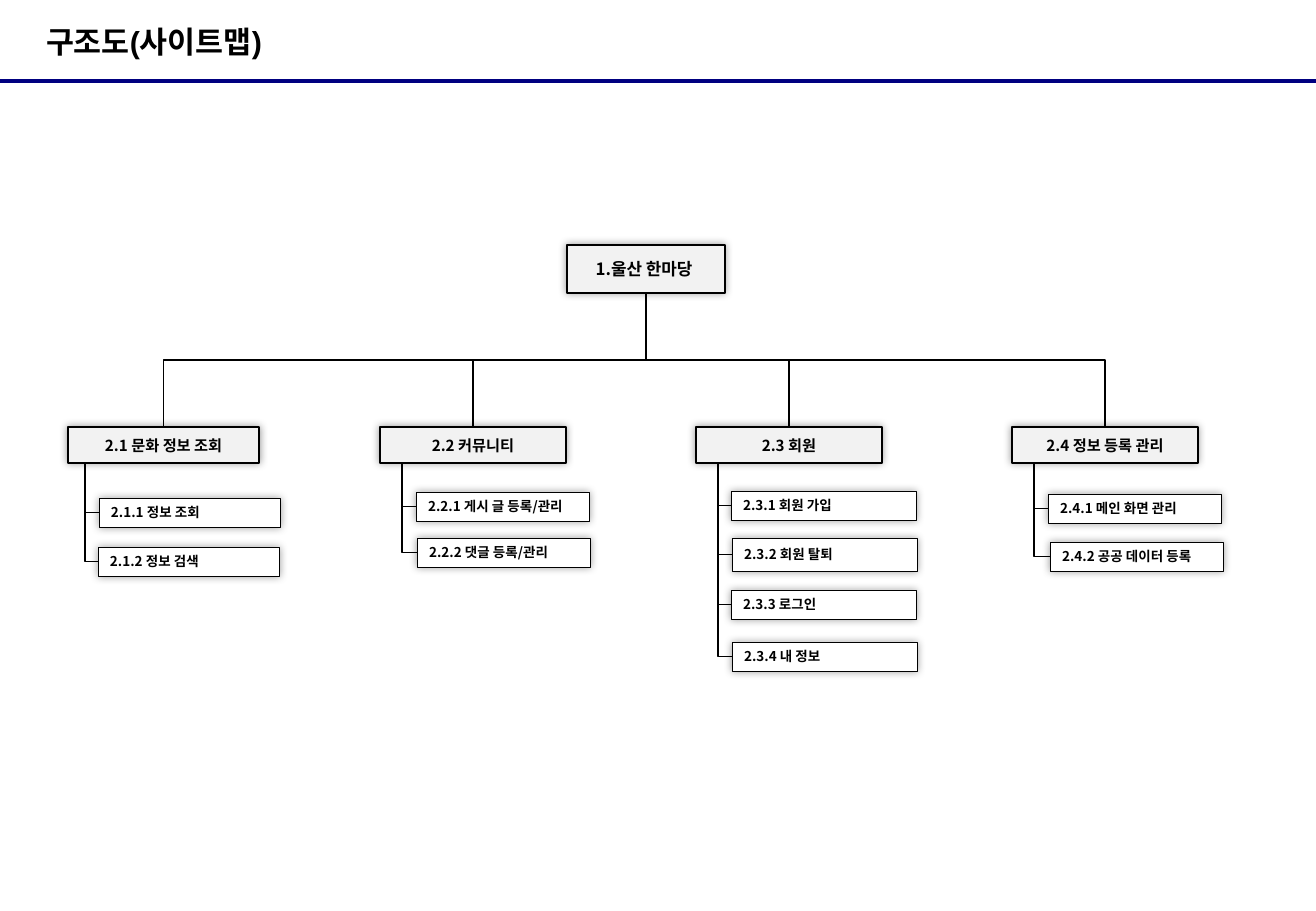
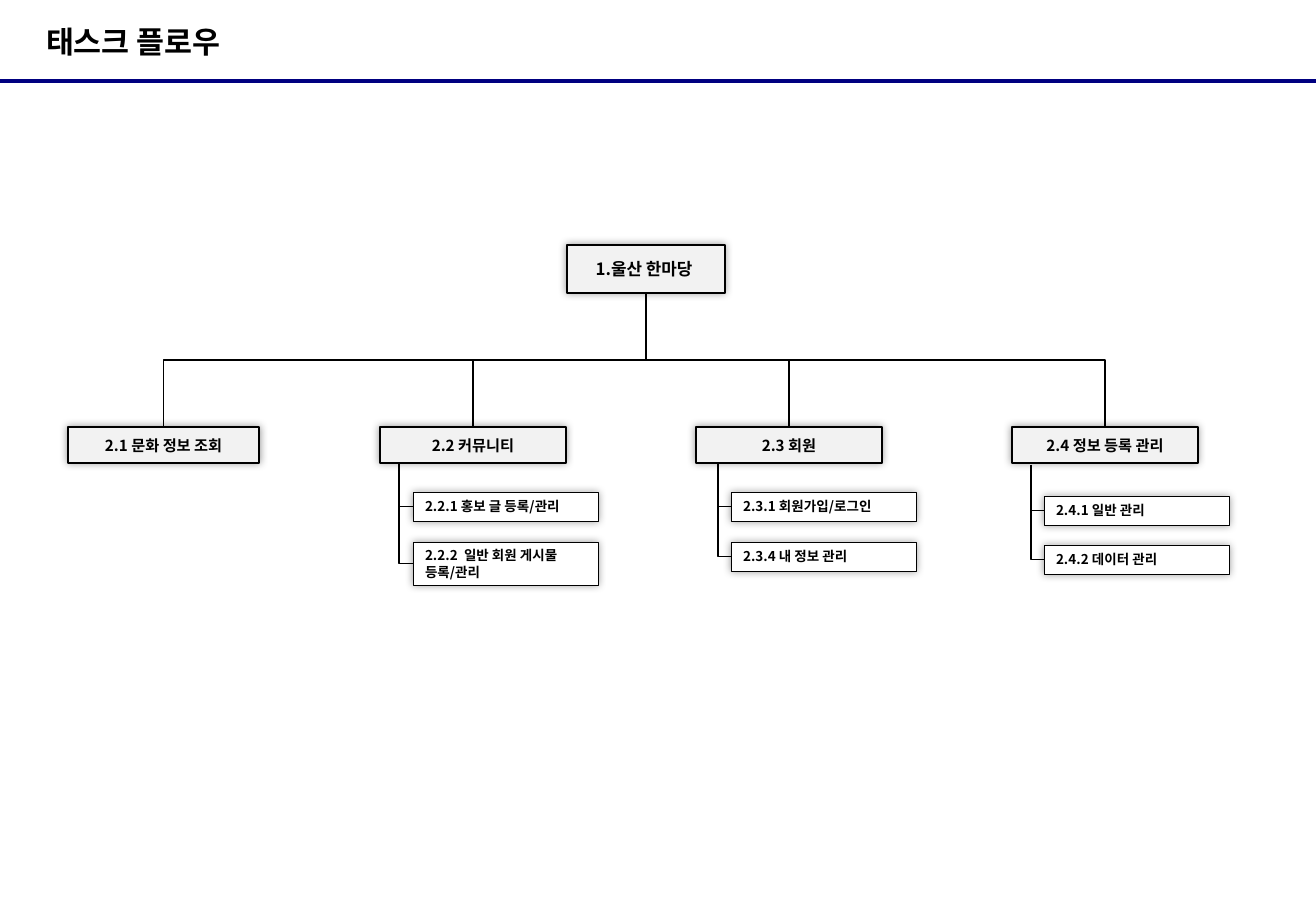
import pptx
import pptx.dml.color
import pptx.enum.shapes
import pptx.enum.text
import pptx.oxml.ns
import pptx.util
from lxml import etree

EMU_PER_PX = 914400 / 121.5
PAGE_WIDTH, PAGE_HEIGHT = 1316, 911
ROOT_BOX = (567, 245, 158, 48)
BRANCH_TOP, BRANCH_HEIGHT = 427, 36
BRANCH_BOTTOM = BRANCH_TOP + BRANCH_HEIGHT
LEAF_HEIGHT = 29

qn = pptx.oxml.ns.qn
CONNECTOR = pptx.enum.shapes.MSO_CONNECTOR
ALIGN = pptx.enum.text.PP_ALIGN

# Label, left and width of each branch
BRANCHES = [
    ("2.1 문화 정보 조회", 68, 191),
    ("2.2 커뮤니티", 380, 186),
    ("2.3 회원", 696, 186),
    ("2.4 정보 등록 관리", 1012, 186),
]

# Per slide: title, then leaf groups as (spine start, leaf width, leaves);
# a leaf is label, left, top and, where it is taller, its height
SLIDES = [
    ("구조도(사이트맵)", [
        ((85, BRANCH_BOTTOM), 181, [
            ("2.1.1 정보 조회", 99, 498),
            ("2.1.2 정보 검색", 98, 547)]),
        ((402, BRANCH_BOTTOM), 173, [
            ("2.2.1 게시 글 등록/관리", 416, 492),
            ("2.2.2 댓글 등록/관리", 417, 538)]),
        ((718, BRANCH_BOTTOM), 185, [
            ("2.3.1 회원 가입", 731, 491),
            ("2.3.2 회원 탈퇴", 732, 538, 33),
            ("2.3.3 로그인", 731, 590),
            ("2.3.4 내 정보", 732, 642)]),
        ((1034, BRANCH_BOTTOM), 173, [
            ("2.4.1 메인 화면 관리", 1048, 494),
            ("2.4.2 공공 데이터 등록", 1050, 542)]),
    ]),
    ("태스크 플로우", [
        ((399, BRANCH_BOTTOM), 185, [
            ("2.2.1 홍보 글 등록/관리", 413, 492),
            ("2.2.2  일반 회원 게시물 등록/관리", 413, 542, 43)]),
        ((718, BRANCH_BOTTOM), 185, [
            ("2.3.1 회원가입/로그인", 731, 492),
            ("2.3.4 내 정보 관리", 731, 542)]),
        ((1031, 465), 185, [
            ("2.4.1 일반 관리", 1044, 496),
            ("2.4.2 데이터 관리", 1044, 545)]),
    ]),
]


def px(length):
    return pptx.util.Emu(round(length * EMU_PER_PX))


def color(hex_string):
    return pptx.dml.color.RGBColor.from_string(hex_string)


def set_all(target, values):
    for name, value in values.items():
        setattr(target, name, value)


class SitemapDeck:
    BLACK, WHITE, GREY, NAVY = "000000", "FFFFFF", "F2F2F2", "000080"
    BODY_FONT, TITLE_FONT = "Noto Sans CJK KR", "Arial"

    def __init__(self):
        self.deck = pptx.Presentation()
        set_all(self.deck, {"slide_width": px(PAGE_WIDTH), "slide_height": px(PAGE_HEIGHT)})
        self.page = None

    def new_page(self, title):
        self.page = self.deck.slides.add_slide(self.deck.slide_layouts[6])
        rule = self.page.shapes.add_connector(
            CONNECTOR.STRAIGHT, 0, px(81), px(PAGE_WIDTH), px(81))
        self.style_line(rule, self.NAVY, 2.25)
        box = self.page.shapes.add_textbox(px(46), 0, px(860), px(83))
        self.fill_text(box, title, 18, self.TITLE_FONT, ALIGN.LEFT, (0, 0, 0, 0))

    def fill_text(self, box, text, size, font, align, insets=(12, 6, 12, 6)):
        frame = box.text_frame
        sides = ("margin_left", "margin_top", "margin_right", "margin_bottom")
        set_all(frame, dict(zip(sides, map(px, insets))))
        set_all(frame, {"word_wrap": True,
                        "vertical_anchor": pptx.enum.text.MSO_ANCHOR.MIDDLE})
        para = frame.paragraphs[0]
        para.alignment = align
        span = para.add_run()
        span.text = text
        set_all(span.font, {"size": pptx.util.Pt(size), "bold": True, "name": font})
        span.font.color.rgb = color(self.BLACK)
        latin = span.font._element.find(qn("a:latin"))
        east_asian = etree.Element(qn("a:ea"), typeface=self.BODY_FONT)
        latin.addnext(east_asian)

    def box(self, text, place, size, fill, border, align, **text_options):
        """Add a bordered rectangle with a soft, centred shadow."""
        box = self.page.shapes.add_shape(
            pptx.enum.shapes.MSO_SHAPE.RECTANGLE, *map(px, place))
        box.fill.solid()
        box.fill.fore_color.rgb = color(fill)
        box.line.color.rgb = color(self.BLACK)
        box.line.width = pptx.util.Pt(border)
        box.shadow.inherit = False
        effects = box.element.spPr.find(qn("a:effectLst"))
        shadow = etree.SubElement(effects, qn("a:outerShdw"), blurRad="63500", dist="0")
        tint = etree.SubElement(shadow, qn("a:srgbClr"), val=self.BLACK)
        etree.SubElement(tint, qn("a:alpha"), val="40000")
        self.fill_text(box, text, size, self.BODY_FONT, align, **text_options)
        return box

    def style_line(self, line, hex_string, width):
        line.line.color.rgb = color(hex_string)
        line.line.width = pptx.util.Pt(width)
        etree.SubElement(line.element.spPr, qn("a:effectLst"))

    def elbow(self, start, end, preset, joined=None):
        """Add an elbow that leaves start downwards; joined is (upper box, lower box)."""
        (x1, y1), (x2, y2) = start, end
        line = self.page.shapes.add_connector(CONNECTOR.ELBOW, *map(px, (x1, y1, x2, y2)))
        if joined:
            line.begin_connect(joined[0], 2)
            line.end_connect(joined[1], 0)
        # The preset runs sideways, so it is laid out unturned around its centre
        across, down = abs(x2 - x1), y2 - y1
        set_all(line, {"left": px((x1 + x2 - down) / 2), "top": px((y1 + y2 - across) / 2),
                       "width": px(down), "height": px(across)})
        rightwards = x2 > x1
        frame = line.element.spPr.find(qn("a:xfrm"))
        frame.set("rot", "16200000" if rightwards else "5400000")
        frame.set("flipH", "1" if rightwards else "0")
        line.element.spPr.find(qn("a:prstGeom")).set("prst", preset)
        self.style_line(line, self.BLACK, 0.75)

    def trunk(self):
        """Add the root, the four branches and the elbows between them."""
        left, top, width, height = ROOT_BOX
        root = self.box("1.울산 한마당", ROOT_BOX, 10, self.GREY, 0.75, ALIGN.CENTER,
                        insets=(8, 6, 12, 6))
        for label, branch_left, branch_width in BRANCHES:
            place = (branch_left, BRANCH_TOP, branch_width, BRANCH_HEIGHT)
            branch = self.box(label, place, 9, self.GREY, 0.75, ALIGN.CENTER)
            self.elbow((left + width / 2, top + height),
                       (branch_left + branch_width / 2, BRANCH_TOP),
                       "bentConnector3", (root, branch))

    def leaves(self, spine, width, rows):
        for label, left, top, *taller in rows:
            height = taller[0] if taller else LEAF_HEIGHT
            self.box(label, (left, top, width, height), 8, self.WHITE, 0.25, ALIGN.LEFT)
            self.elbow(spine, (left, top + height / 2), "bentConnector2")


def main():
    sitemap = SitemapDeck()
    for title, groups in SLIDES:
        sitemap.new_page(title)
        sitemap.trunk()
        for group in groups:
            sitemap.leaves(*group)
    sitemap.deck.save("out.pptx")


if __name__ == "__main__":
    main()
